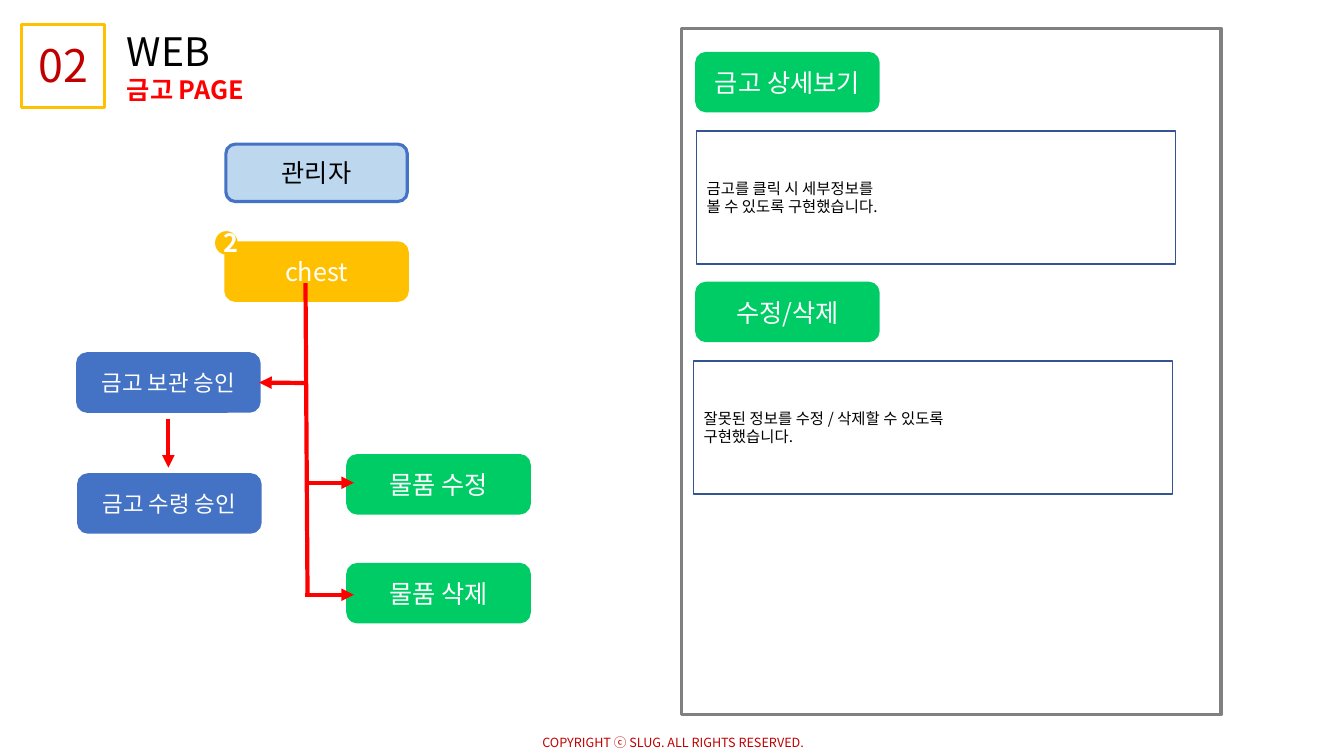
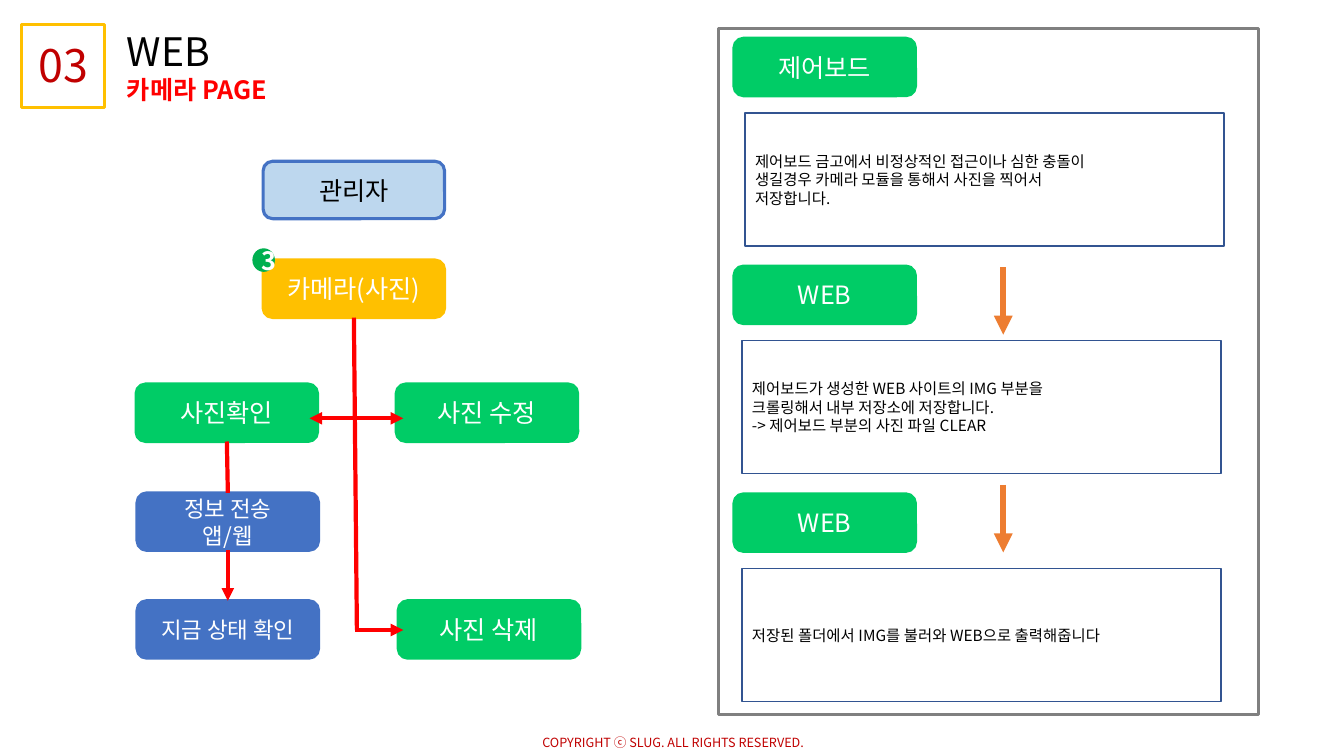
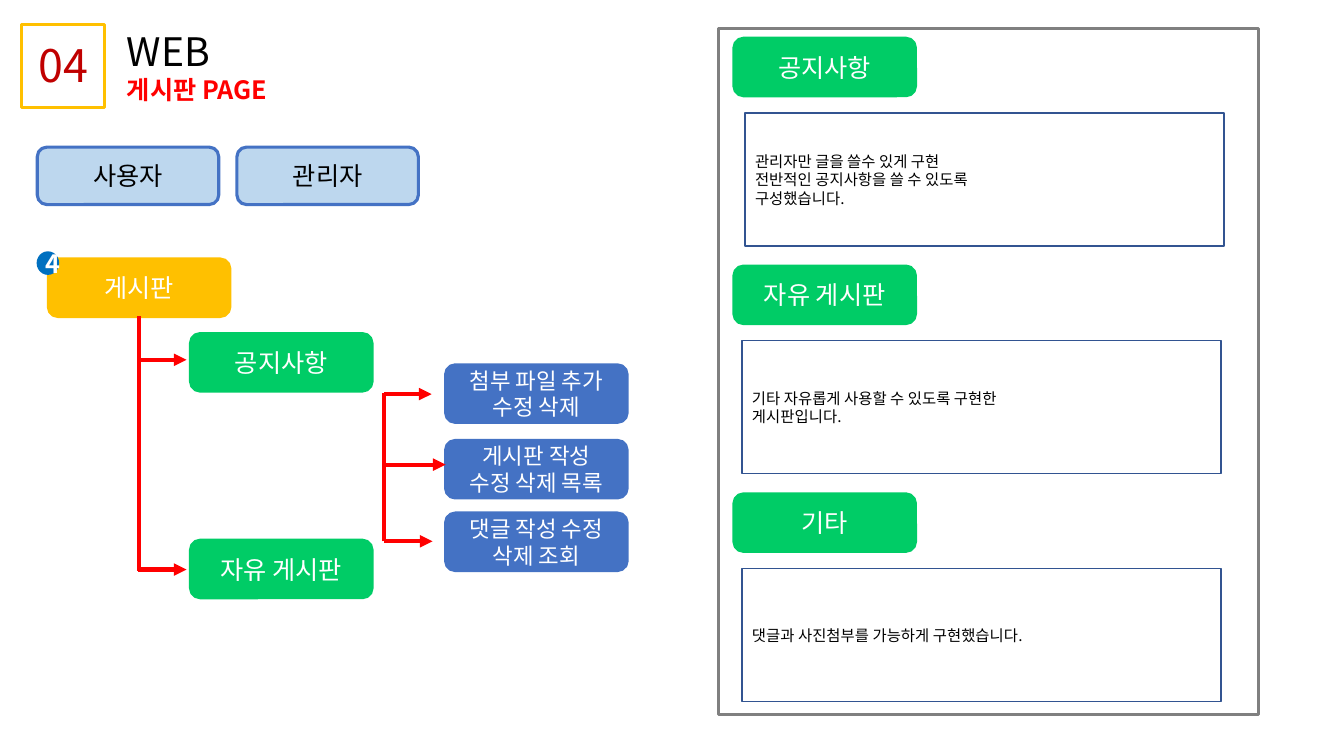
from lxml.etree import SubElement
from pptx import Presentation
from pptx.dml.color import RGBColor
from pptx.enum.shapes import MSO_CONNECTOR as Connector, MSO_SHAPE as Shape
from pptx.enum.text import MSO_ANCHOR as Anchor, MSO_AUTO_SIZE as AutoSize, PP_ALIGN as Align
from pptx.oxml.ns import qn
from pptx.util import Emu, Pt

PX = 9144
FONT = "Noto Sans CJK KR"
COLORS = {
    "white": "FFFFFF", "black": "000000", "amber": "FFC000", "crimson": "C00000",
    "red": "FF0000", "green": "00CC66", "leaf": "00B050", "blue": "4472C4",
    "sky": "BDD7EE", "azure": "0070C0", "navy": "325491", "gray": "808080",
    "orange": "ED7D31",
}
NODE_STYLES = {
    "role": ("sky", "blue", "black", 18),
    "page": ("amber", "amber", "white", 18),
    "feature": ("green", "green", "white", 18),
    "action": ("blue", "blue", "white", 16),
}
NODE_WIDTH, NODE_HEIGHT = 180, 57


def px(*lengths):
    return [Emu(length * PX) for length in lengths]


def rgb(name):
    return RGBColor.from_string(COLORS[name])


def style_paragraph(paragraph, size, color, bold=False, align=Align.LEFT):
    paragraph.alignment = align
    font = paragraph.font
    font.size = Pt(size)
    font.bold = bold
    font.color.rgb = rgb(color)
    font.name = FONT
    properties = paragraph._p.pPr.find(qn("a:defRPr"))
    SubElement(properties, qn("a:ea")).set("typeface", FONT)


def add_label(slide, box, lines, align=Align.LEFT):
    frame = slide.shapes.add_textbox(*px(*box)).text_frame
    frame.word_wrap = True
    frame.auto_size = AutoSize.SHAPE_TO_FIT_TEXT
    for index, (text, size, color, bold) in enumerate(lines):
        paragraph = frame.add_paragraph() if index else frame.paragraphs[0]
        paragraph.text = text
        style_paragraph(paragraph, size, color, bold, align)


def add_block(slide, kind, box, fill, line, weight):
    block = slide.shapes.add_shape(kind, *px(*box))
    block.shadow.inherit = False
    if fill:
        block.fill.solid()
        block.fill.fore_color.rgb = rgb(fill)
    else:
        block.fill.background()
    block.line.color.rgb = rgb(line)
    block.line.width = Pt(weight)
    return block


def write_in(block, text, size, color, bold=False, align=Align.CENTER):
    frame = block.text_frame
    frame.word_wrap = True
    frame.vertical_anchor = Anchor.MIDDLE
    frame.text = text
    for paragraph in frame.paragraphs:
        style_paragraph(paragraph, size, color, bold, align)


def add_node(slide, style, left, top, text):
    fill, line, color, size = NODE_STYLES[style]
    box = (left, top, NODE_WIDTH, NODE_HEIGHT)
    node = add_block(slide, Shape.ROUNDED_RECTANGLE, box, fill, line, 2.25)
    write_in(node, text, size, color)
    return node


def add_page_node(slide, left, top, text, number, badge_color, badge_offset=(-10, -11)):
    page = add_node(slide, "page", left, top, text)
    badge_box = (left + badge_offset[0], top + badge_offset[1], 21, 22)
    badge = add_block(slide, Shape.OVAL, badge_box, badge_color, badge_color, 1)
    write_in(badge, number, 18, "white", bold=True)
    return page


def add_link(slide, start, end, arrow=True, color="red", weight=3, start_at=None, end_at=None):
    link = slide.shapes.add_connector(Connector.STRAIGHT, *px(*start, *end))
    if start_at:
        link.begin_connect(*start_at)
    if end_at:
        link.end_connect(*end_at)
    link.line.color.rgb = rgb(color)
    link.line.width = Pt(weight)
    if arrow:
        SubElement(link.line._get_or_add_ln(), qn("a:tailEnd")).set("type", "triangle")
    SubElement(link._element.spPr, qn("a:effectLst"))
    return link


def add_panel(slide, left, first_top, pitch, note_drop, sections):
    add_block(slide, Shape.RECTANGLE, (left, 28, 535, 681), None, "gray", 2.25)
    for index, (heading, note_left, note) in enumerate(sections):
        top = first_top + index * pitch
        add_node(slide, "feature", left + 15, top, heading)
        note_box = (note_left, top + note_drop, 475, 132)
        description = add_block(slide, Shape.RECTANGLE, note_box, "white", "navy", 1)
        write_in(description, note, 11, "black", align=Align.LEFT)


def start_slide(deck, number, topic, footer=True):
    slide = deck.slides.add_slide(deck.slide_layouts[6])
    add_block(slide, Shape.RECTANGLE, (21, 24, 83, 83), None, "amber", 2.25)
    add_label(slide, (8, 33, 110, 64), [(number, 32, "crimson", False)], Align.CENTER)
    add_label(slide, (116, 22, 223, 88),
              [("WEB", 28, "black", False), (f"{topic} PAGE", 18, "red", True)])
    if footer:
        add_label(slide, (459, 724, 417, 25),
                  [("COPYRIGHT ⓒ SLUG. ALL RIGHTS RESERVED.", 9, "crimson", False)], Align.CENTER)
    return slide


def build_chest(deck):
    slide = start_slide(deck, "02", "금고")
    add_node(slide, "role", 224, 143, "관리자")
    add_page_node(slide, 224, 241, "chest", "2", "amber")
    storage = add_node(slide, "action", 77, 351, "금고 보관 승인")
    add_node(slide, "action", 78, 471, "금고 수령 승인")
    add_node(slide, "feature", 345, 452, "물품 수정")
    add_node(slide, "feature", 345, 560, "물품 삭제")
    add_link(slide, (305, 590), (303, 281), arrow=False)
    add_link(slide, (305, 380), (257, 380), end_at=(storage, 3))
    for y in (479, 590):
        add_link(slide, (303, y), (351, y))
    add_link(slide, (167, 416), (167, 464))
    add_panel(slide, 676, 53, 228, 77, [
        ("금고 상세보기", 691, "금고를 클릭 시 세부정보를\n볼 수 있도록 구현했습니다."),
        ("수정/삭제", 688, "잘못된 정보를 수정 / 삭제할 수 있도록\n구현했습니다."),
    ])


def build_camera(deck):
    slide = start_slide(deck, "03", "카메라")
    add_node(slide, "role", 261, 160, "관리자")
    camera = add_page_node(slide, 261, 258, "카메라(사진)", "3", "leaf")
    view = add_node(slide, "feature", 135, 381, "사진확인")
    send = add_node(slide, "action", 136, 489, "정보 전송\n앱/웹")
    status = add_node(slide, "action", 136, 596, "지금 상태 확인")
    add_node(slide, "feature", 393, 381, "사진 수정")
    add_node(slide, "feature", 395, 596, "사진 삭제")
    add_link(slide, (354, 625), (352, 317), arrow=False, end_at=(camera, 2))
    for y in (415, 625):
        add_link(slide, (352, y), (400, y))
    add_link(slide, (354, 415), (307, 415))
    add_link(slide, (225, 438), (226, 489), arrow=False, start_at=(view, 2), end_at=(send, 0))
    add_link(slide, (226, 546), (226, 596), start_at=(send, 2), end_at=(status, 0))
    add_panel(slide, 713, 38, 226, 74, [
        ("제어보드", 739, "제어보드 금고에서 비정상적인 접근이나 심한 충돌이\n"
                     "생길경우 카메라 모듈을 통해서 사진을 찍어서\n저장합니다."),
        ("WEB", 736, "제어보드가 생성한 WEB 사이트의 IMG 부분을\n"
                     "크롤링해서 내부 저장소에 저장합니다.\n-> 제어보드 부분의 사진 파일 CLEAR"),
        ("WEB", 736, "저장된 폴더에서 IMG를 불러와 WEB으로 출력해줍니다"),
    ])
    for top in (265, 481):
        add_link(slide, (995, top), (995, top + 67), color="orange", weight=4.5)


def build_board(deck):
    slide = start_slide(deck, "04", "게시판", footer=False)
    for left, role in ((37, "사용자"), (235, "관리자")):
        add_node(slide, "role", left, 146, role)
    board = add_page_node(slide, 48, 257, "게시판", "4", "azure", (-11, -7))
    add_node(slide, "feature", 189, 331, "공지사항")
    add_node(slide, "feature", 189, 536, "자유 게시판")
    for top, action in ((362, "첨부 파일 추가 수정 삭제"),
                        (437, "게시판 작성\n수정 삭제 목록"),
                        (509, "댓글 작성 수정 삭제 조회")):
        add_node(slide, "action", 442, top, action)
    add_link(slide, (138, 566), (137, 316), arrow=False, end_at=(board, 2))
    for y in (357, 565):
        add_link(slide, (137, y), (185, y))
    add_link(slide, (381, 537), (381, 390), arrow=False)
    for y, tip in ((391, 428), (461, 442), (537, 429)):
        add_link(slide, (381, y), (tip, y))
    add_panel(slide, 713, 38, 226, 74, [
        ("공지사항", 739, "관리자만 글을 쓸수 있게 구현\n전반적인 공지사항을 쓸 수 있도록\n구성했습니다."),
        ("자유 게시판", 736, "기타 자유롭게 사용할 수 있도록 구현한\n게시판입니다."),
        ("기타", 736, "댓글과 사진첨부를 가능하게 구현했습니다."),
    ])


def main():
    deck = Presentation()
    deck.slide_width, deck.slide_height = px(1333, 750)
    build_chest(deck)
    build_camera(deck)
    build_board(deck)
    deck.save("out.pptx")


if __name__ == "__main__":
    main()
